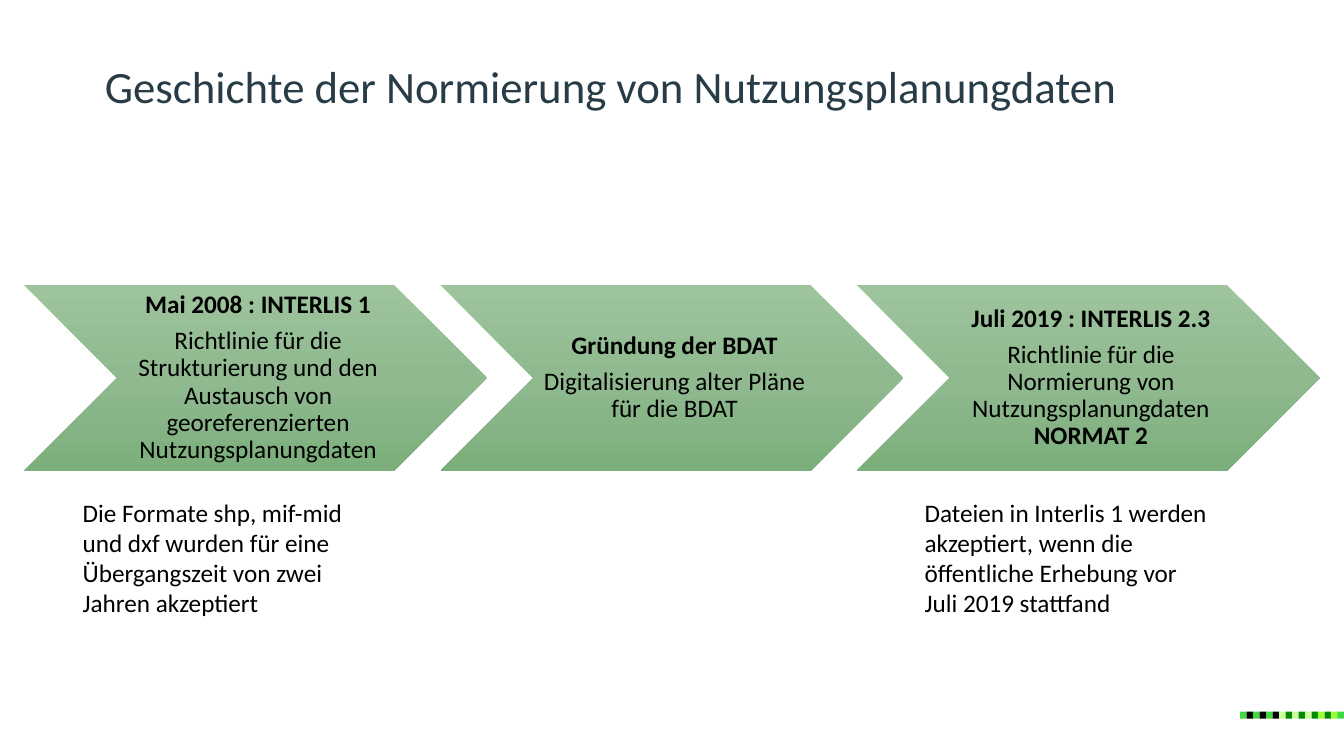
from copy import deepcopy

from pptx import Presentation
from pptx.dml.color import RGBColor
from pptx.enum.shapes import MSO_SHAPE
from pptx.enum.text import MSO_ANCHOR, MSO_AUTO_SIZE, PP_ALIGN
from pptx.util import Inches, Pt

COLORS = {
    "title": "273C46",
    "text": "000000",
    "top": "9DC49D",
    "middle": "90B990",
    "bottom": "7CAF7C",
    "bright": "40D940",
    "black": "000000",
    "pale": "CCFF99",
    "dark": "028B02",
    "lime": "99FF33",
}
FONT = "Calibri"
WIDE, HIGH = 13.33, 7.5

# Each step: paragraphs made of (text, bold) runs
STEPS = [
    [
        [("Mai 2008 : INTERLIS 1", True)],
        [("Richtlinie für die Strukturierung und den Austausch von "
          "georeferenzierten Nutzungsplanungdaten", False)],
    ],
    [
        [("Gründung der BDAT", True)],
        [("Digitalisierung alter Pläne für die BDAT", False)],
    ],
    [
        [("Juli 2019 : INTERLIS 2.3", True)],
        [("Richtlinie für die Normierung von Nutzungsplanungdaten ", False),
         ("NORMAT 2", True)],
    ],
]
NOTES = [
    (0.82, "Die Formate shp, mif-mid und dxf wurden für eine "
           "Übergangszeit von zwei Jahren akzeptiert"),
    (9.17, "Dateien in Interlis 1 werden akzeptiert, wenn die "
           "öffentliche Erhebung vor Juli 2019 stattfand"),
]
STRIP = (["bright", "black"] * 3 + ["pale", "dark"] * 3
         + ["lime", "dark", "lime", "bright"])


def color(name):
    return RGBColor.from_string(COLORS[name])


def write(frame, paras, size=18, tint="text", align=PP_ALIGN.LEFT,
          anchor=MSO_ANCHOR.TOP, line=1.0, after=0, inset=(0, 0, 0, 0),
          fit=MSO_AUTO_SIZE.NONE):
    """Fill a text frame with paragraphs of (text, bold) runs."""
    frame.word_wrap = True
    frame.auto_size = fit
    frame.vertical_anchor = anchor
    (frame.margin_left, frame.margin_top,
     frame.margin_right, frame.margin_bottom) = map(Inches, inset)
    for index, runs in enumerate(paras):
        para = frame.add_paragraph() if index else frame.paragraphs[0]
        para.alignment = align
        para.line_spacing = line
        para.space_before = Pt(0)
        para.space_after = Pt(after)
        for text, bold in runs:
            run = para.add_run()
            run.text = text
            run.font.name = FONT
            run.font.size = Pt(size)
            run.font.bold = bold
            run.font.color.rgb = color(tint)


def add_box(slide, left, top, width, height, paras, **style):
    box = slide.shapes.add_textbox(*map(Inches, (left, top, width, height)))
    write(box.text_frame, paras, **style)


def add_form(slide, kind, left, top, width, height):
    """Add a plain shape without outline or shadow."""
    form = slide.shapes.add_shape(
        kind, *map(Inches, (left, top, width, height)))
    form.shadow.inherit = False
    form.line.fill.background()
    return form


def shade(fill):
    """Apply the vertical green gradient with three stops."""
    fill.gradient()
    fill.gradient_angle = 270
    stops = fill.gradient_stops
    first = stops[0]._gs
    first.addnext(deepcopy(first))
    places = zip(fill.gradient_stops, ("top", "middle", "bottom"), (0, 0.5, 1))
    for stop, name, place in places:
        stop.color.rgb = color(name)
        stop.position = place


def add_step(slide, left, paras):
    top, width, height = 2.83, 4.59, 1.84
    notch = height / 2
    arrow = add_form(slide, MSO_SHAPE.CHEVRON, left, top, width, height)
    shade(arrow.fill)
    add_box(slide, left + notch, top, width - 2 * notch, height, paras,
            align=PP_ALIGN.CENTER, anchor=MSO_ANCHOR.MIDDLE, line=0.9,
            after=6.3, inset=(0.08, 0.03, 0.03, 0.03))


def add_strip(slide):
    left = 12.3
    side = (WIDE - left) / len(STRIP)
    for index, name in enumerate(STRIP):
        tile = add_form(slide, MSO_SHAPE.RECTANGLE,
                        left + index * side, 7.06, side, 0.07)
        tile.fill.solid()
        tile.fill.fore_color.rgb = color(name)


def add_title(slide, text):
    title = slide.shapes.title
    title.left, title.top = Inches(1.04), Inches(0)
    title.width, title.height = Inches(11.26), Inches(1.43)
    write(title.text_frame, [[(text, False)]], size=32, tint="title",
          anchor=MSO_ANCHOR.MIDDLE, line=1.5, after=12)


def main():
    deck = Presentation()
    deck.slide_width, deck.slide_height = Inches(WIDE), Inches(HIGH)
    slide = deck.slides.add_slide(deck.slide_layouts[5])

    # Title and corner strip
    add_strip(slide)
    add_title(slide, "Geschichte der Normierung von Nutzungsplanungdaten")

    # Timeline
    for index, paras in enumerate(STEPS):
        add_step(slide, 0.24 + index * 4.13, paras)

    # Remarks below the timeline
    for left, text in NOTES:
        add_box(slide, left, 4.93, 2.83, 1.21, [[(text, False)]],
                fit=MSO_AUTO_SIZE.SHAPE_TO_FIT_TEXT)

    deck.save("out.pptx")


if __name__ == "__main__":
    main()
